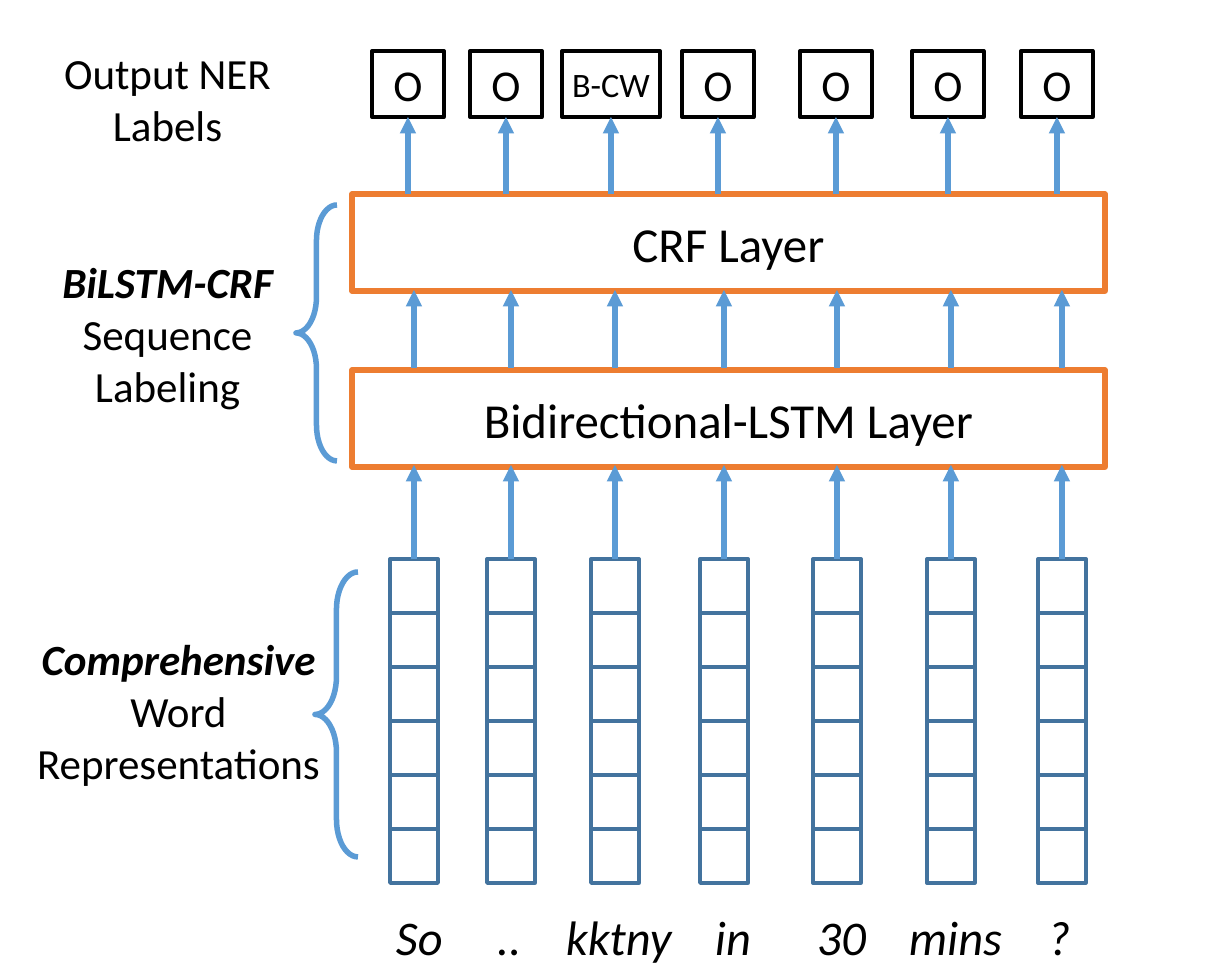
from lxml import etree
from pptx import Presentation
from pptx import util as u
from pptx.dml.color import RGBColor
from pptx.enum import shapes, text
from pptx.oxml.ns import qn

PX = u.Inches(1) // 88
BLACK, BLUE, DARK_BLUE, ORANGE = "000000", "5B9BD5", "43739E", "ED7D31"
rgb = RGBColor.from_string


def write(shape, words, size=35.2, lead="", italic=False,
          align=text.PP_ALIGN.CENTER, anchor=text.MSO_ANCHOR.TOP, inset=8):
    """Fill a shape with one paragraph; lead is its bold italic opening."""
    frame = shape.text_frame
    frame.word_wrap = True
    frame.vertical_anchor = anchor
    frame.margin_left = frame.margin_right = inset * PX
    frame.margin_top = frame.margin_bottom = 5 * PX
    paragraph = frame.paragraphs[0]
    paragraph.alignment = align
    for part, bold in ((lead, True), (words, False)):
        if part:
            run = paragraph.add_run()
            run.text = part
            run.font.name = "Calibri"
            run.font.size = u.Pt(size)
            run.font.bold = bold
            run.font.italic = bold or italic
            run.font.color.rgb = rgb(BLACK)
    return paragraph


def add_outline(kind, left, top, width, height, colour, points):
    shape = slide.shapes.add_shape(kind, left * PX, top * PX, width * PX, height * PX)
    shape.shadow.inherit = False
    shape.fill.background()
    shape.line.color.rgb = rgb(colour)
    shape.line.width = u.Pt(points)
    return shape


presentation = Presentation()
presentation.slide_width, presentation.slide_height = u.Inches(14), u.Inches(11)
slide = presentation.slides.add_slide(presentation.slide_layouts[6])
RECTANGLE = shapes.MSO_SHAPE.RECTANGLE

# Word vectors: seven columns of six cells
column_centres = [414, 511, 615, 724, 837, 951, 1062]
top_cells = []
for centre in column_centres:
    cells = [add_outline(RECTANGLE, centre - 24, 559 + 54 * row, 48, 54, DARK_BLUE, 3)
             for row in range(6)]
    top_cells.append(cells[0])

# Network layers
for name, top in (("Bidirectional-LSTM Layer", 370), ("CRF Layer", 194)):
    layer = add_outline(RECTANGLE, 352, top, 753, 97, ORANGE, 4.5)
    write(layer, name, size=40, anchor=text.MSO_ANCHOR.MIDDLE)

# Output labels
label_centres = [408, 506, 611, 718, 836, 948, 1057]
label_boxes = []
for centre, label in zip(label_centres, ["O", "O", "B-CW", "O", "O", "O", "O"]):
    width, size = (72, 36) if label == "O" else (98, 28)
    box = add_outline(RECTANGLE, centre - width // 2, 51, width, 66, BLACK, 3)
    write(box, label, size=size, anchor=text.MSO_ANCHOR.MIDDLE, inset=0)
    label_boxes.append(box)

# Upward arrows: x, start, tip, cell below, label above
arrows = [(x, 559, 465, cell, None) for x, cell in zip(column_centres, top_cells)]
arrows += [(x, 368, 290, None, None) for x in column_centres]
arrows += [(x, 194, 117, None, box) for x, box in zip(label_centres, label_boxes)]
for x, start, tip, cell, box in arrows:
    arrow = slide.shapes.add_connector(
        shapes.MSO_CONNECTOR.STRAIGHT, x * PX, start * PX, x * PX, tip * PX)
    if cell:
        arrow.begin_connect(cell, 0)
    if box:
        arrow.end_connect(box, 2)
    arrow.line.color.rgb = rgb(BLUE)
    arrow.line.width = u.Pt(4.5)
    etree.SubElement(arrow.line._get_or_add_ln(), qn("a:tailEnd"), type="triangle")
    etree.SubElement(arrow._element.spPr, qn("a:effectLst"))

# Braces
for place in ((315, 572, 43, 285), (296, 205, 41, 256)):
    brace = add_outline(shapes.MSO_SHAPE.LEFT_BRACE, *place, BLUE, 4.5)
    brace.adjustments[0] = 0.874
    brace.adjustments[1] = 0.5

# Stage captions
for lead, words, left, top, width, height in (
    ("", "Output NER Labels", 37, 42, 261, 114),
    ("BiLSTM-CRF", " Sequence Labeling", 37, 251, 261, 165),
    ("Comprehensive", " Word Representations", 27, 628, 303, 165),
):
    caption = slide.shapes.add_textbox(left * PX, top * PX, width * PX, height * PX)
    write(caption, words, lead=lead)

# Input sentence, one tab stop per word
sentence = slide.shapes.add_textbox(388 * PX, 902 * PX, 740 * PX, 68 * PX)
paragraph = write(sentence, "So\t..\tkktny\tin\t30\tmins\t?", size=39.6,
                  italic=True, align=text.PP_ALIGN.LEFT)
tabs = etree.SubElement(paragraph._p.get_or_add_pPr(), qn("a:tabLst"))
for stop in (101, 170, 319, 421, 513, 652):
    etree.SubElement(tabs, qn("a:tab"), pos=str(stop * PX), algn="l")

presentation.save("out.pptx")
